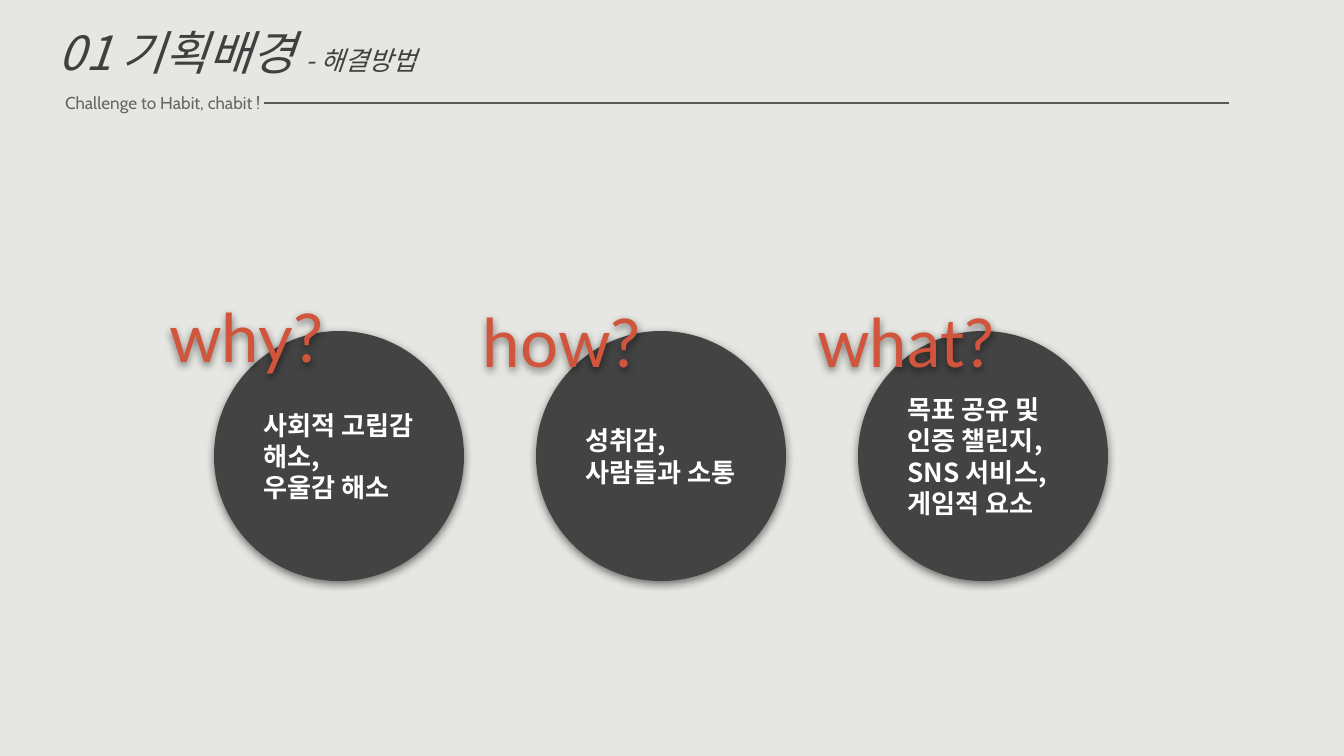
"""Build the slide answering why, how and what with three circles."""
from dataclasses import dataclass

from lxml import etree
from pptx import Presentation
from pptx.dml.color import RGBColor
from pptx.enum.shapes import MSO_CONNECTOR, MSO_SHAPE
from pptx.enum.text import MSO_ANCHOR, MSO_AUTO_SIZE, PP_ALIGN
from pptx.oxml import parse_xml
from pptx.oxml.ns import nsdecls, qn
from pptx.util import Emu, Pt

ELLIPSE = MSO_SHAPE.OVAL
STRAIGHT = MSO_CONNECTOR.STRAIGHT
TOP, MIDDLE = MSO_ANCHOR.TOP, MSO_ANCHOR.MIDDLE
LEFT = PP_ALIGN.LEFT
NO_FIT = MSO_AUTO_SIZE.NONE

COLORS = {
    "background": "E6E7E2",
    "circle": "434343",
    "answer": "FFFFFF",
    "question": "D1543C",
    "title": "404040",
    "tagline": "666666",
    "rule": "595959",
}
KOREAN, LATIN, TAGLINE_FONT = "Noto Sans CJK KR", "Lato", "Cabin"
EMU_PER_PX = 914400 / 134.4
INSET = 13
CIRCLE_LEFT, CIRCLE_TOP, CIRCLE_SIZE, CIRCLE_STEP = 214, 331, 250, 322


@dataclass(frozen=True)
class Box:
    left: int
    top: int
    width: int
    height: int


@dataclass(frozen=True)
class Topic:
    question: str
    question_box: Box
    answers: tuple[str, ...]


TOPICS = (
    Topic("why?", Box(156, 282, 250, 109), ("사회적 고립감 해소,", "우울감 해소")),
    Topic("how?", Box(470, 287, 250, 109), ("성취감,", "사람들과 소통")),
    Topic("what?", Box(804, 287, 275, 109),
          ("목표 공유 및 인증 챌린지,", "SNS 서비스,", "게임적 요소")),
)


def px(length: int) -> Emu:
    return Emu(round(length * EMU_PER_PX))


def frame(box: Box) -> tuple[Emu, Emu, Emu, Emu]:
    return px(box.left), px(box.top), px(box.width), px(box.height)


def color(role: str) -> RGBColor:
    return RGBColor.from_string(COLORS[role])


def place(placeholder, box: Box) -> None:
    placeholder.left, placeholder.top, placeholder.width, placeholder.height = frame(box)


def set_up_text(shape, anchor):
    text = shape.text_frame
    text.word_wrap = True
    text.auto_size = NO_FIT
    text.vertical_anchor = anchor
    text.margin_left = text.margin_right = px(INSET)
    text.margin_top = text.margin_bottom = px(INSET)
    return text


def style(paragraph, face: str, size: float, role: str, spacing: float = 1.0) -> None:
    paragraph.alignment = LEFT
    paragraph.line_spacing = spacing
    paragraph.space_before = Pt(0)
    font = paragraph.font
    font.name, font.size, font.color.rgb = face, Pt(size), color(role)
    for run in paragraph.runs:
        east_asian = etree.SubElement(run._r.get_or_add_rPr(), qn("a:ea"))
        east_asian.set("typeface", face)


def add_shadow(shape) -> None:
    shape._element.spPr.append(parse_xml(
        f'<a:effectLst {nsdecls("a")}>'
        '<a:outerShdw blurRad="57150" dist="19050" dir="5400000" algn="bl" rotWithShape="0">'
        '<a:srgbClr val="000000"><a:alpha val="50000"/></a:srgbClr>'
        '</a:outerShdw></a:effectLst>'))


def add_heading(slide) -> None:
    title, tagline = slide.shapes.title, slide.placeholders[1]
    place(title, Box(46, 17, 628, 85))
    heading = set_up_text(title, TOP).paragraphs[0]
    heading.add_run().text = "01 기획배경 "
    section = heading.add_run()
    section.text = "- 해결방법"
    section.font.size = Pt(14)
    style(heading, KOREAN, 25.2, "title", 0.9)
    heading.font.italic = True

    place(tagline, Box(52, 79, 288, 59))
    motto = set_up_text(tagline, TOP).paragraphs[0]
    motto.text = "Challenge to Habit, chabit !"
    style(motto, TAGLINE_FONT, 9.2, "tagline")


def add_rule(slide) -> None:
    rule = slide.shapes.add_connector(STRAIGHT, px(1229), px(103), px(264), px(103))
    rule.line.color.rgb = color("rule")
    rule.line.width = Pt(0.75)
    etree.SubElement(rule._element.spPr, qn("a:effectLst"))


def add_circle(slide, left: int, answers: tuple[str, ...]) -> None:
    box = Box(left, CIRCLE_TOP, CIRCLE_SIZE, CIRCLE_SIZE)
    circle = slide.shapes.add_shape(ELLIPSE, *frame(box))
    circle.fill.solid()
    circle.fill.fore_color.rgb = color("circle")
    circle.line.fill.background()
    add_shadow(circle)
    text = set_up_text(circle, MIDDLE)
    for index, answer in enumerate(answers):
        paragraph = text.add_paragraph() if index else text.paragraphs[0]
        paragraph.text = answer
        style(paragraph, KOREAN, 14, "answer")
        paragraph.font.bold = True


def add_question(slide, topic: Topic) -> None:
    label = slide.shapes.add_textbox(*frame(topic.question_box))
    add_shadow(label)
    question = set_up_text(label, TOP).paragraphs[0]
    question.text = topic.question
    style(question, LATIN, 36, "question")


def main() -> None:
    deck = Presentation()
    deck.slide_width, deck.slide_height = px(1344), px(756)
    slide = deck.slides.add_slide(deck.slide_layouts[0])
    slide.background.fill.solid()
    slide.background.fill.fore_color.rgb = color("background")
    for index, topic in enumerate(TOPICS):
        add_circle(slide, CIRCLE_LEFT + index * CIRCLE_STEP, topic.answers)
    for topic in TOPICS:
        add_question(slide, topic)
    add_heading(slide)
    add_rule(slide)
    deck.save("out.pptx")


if __name__ == "__main__":
    main()
